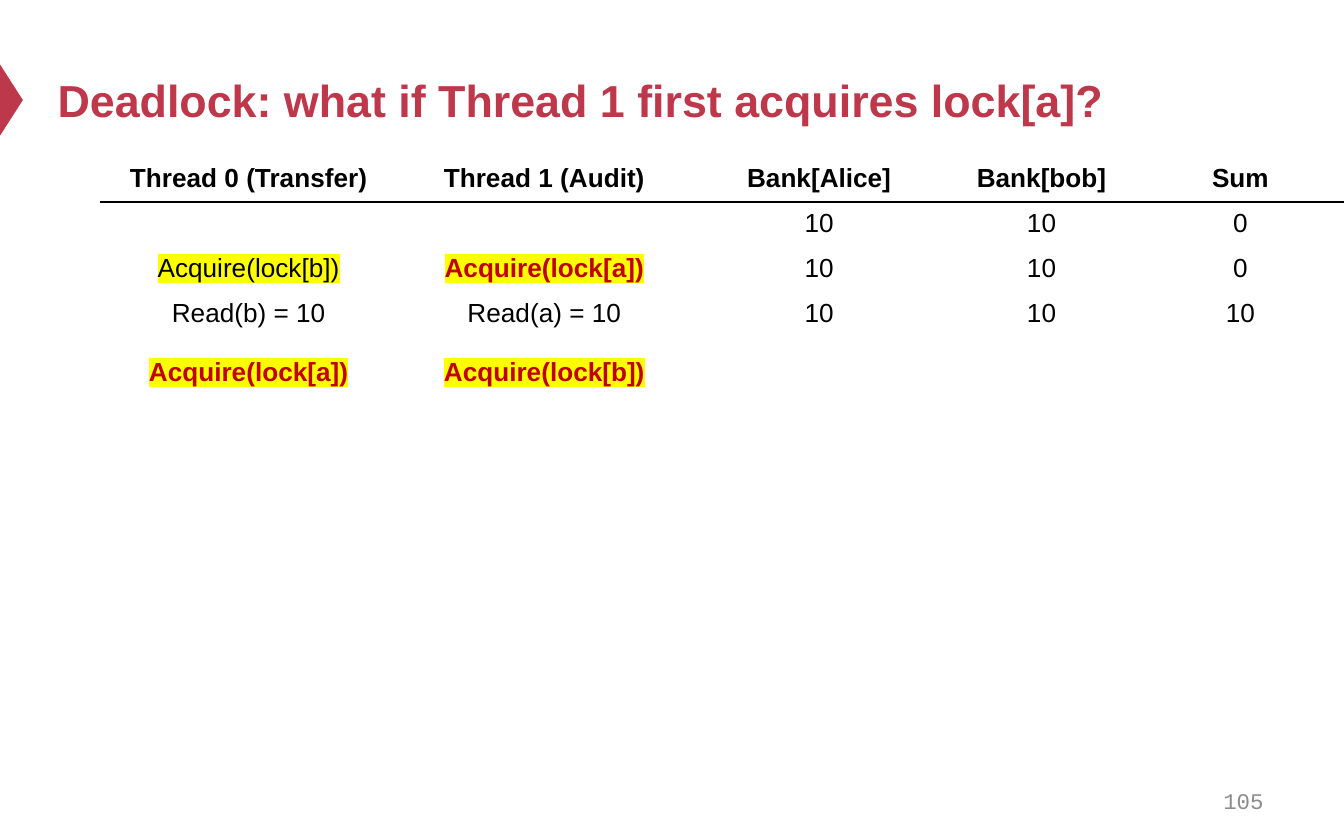
from lxml.etree import SubElement
from pptx import Presentation
from pptx.dml.color import RGBColor
from pptx.enum.shapes import MSO_SHAPE
from pptx.enum.text import MSO_ANCHOR, PP_ALIGN
from pptx.oxml.ns import qn
from pptx.util import Inches, Pt

CRIMSON = RGBColor(0xBE, 0x38, 0x4B)
RED = RGBColor(0xC0, 0x00, 0x00)
GRAY = RGBColor(0x8C, 0x8C, 0x8C)
BLACK = RGBColor(0x00, 0x00, 0x00)
WHITE = RGBColor(0xFF, 0xFF, 0xFF)
YELLOW = RGBColor(0xFF, 0xFF, 0x00)

HEADER = {"bold": True}
HELD = {"highlight": YELLOW}
CONTESTED = {"highlight": YELLOW, "color": RED, "bold": True}

COLUMN_WIDTHS = [2.2, 2.2, 1.89, 1.42, 1.54]
ROW_HEIGHTS = [0.32] * 3 + [0.77] + [0.39] * 9
HEADINGS = ["Thread 0 (Transfer)", "Thread 1 (Audit)", "Bank[Alice]", "Bank[bob]", "Sum"]
STEPS = [
    [[], [], [("10", {})], [("10", {})], [("0", {})]],
    [[("Acquire(lock[b])", HELD)], [("Acquire(lock[a])", CONTESTED)],
     [("10", {})], [("10", {})], [("0", {})]],
    [[("Read(b) = 10", {}), ("Acquire(lock[a])", CONTESTED)],
     [("Read(a) = 10", {}), ("Acquire(lock[b])", CONTESTED)],
     [("10", {})], [("10", {})], [("10", {})]],
]


def write_text(para, text, size=14, font="Arial", color=BLACK, bold=False,
               align=PP_ALIGN.CENTER, highlight=None):
    """Write one formatted span into a paragraph."""
    para.alignment = align
    span = para.add_run()
    span.text = text
    span.font.size = Pt(size)
    span.font.bold = bold
    span.font.color.rgb = color
    if highlight is not None:
        marker = SubElement(span.font._element, qn("a:highlight"))
        SubElement(marker, qn("a:srgbClr"), val=str(highlight))
    span.font.name = font


def add_text_box(page, left, top, width, height, text, **text_format):
    """Add a vertically centred, wrapping text box."""
    box = page.shapes.add_textbox(Inches(left), Inches(top), Inches(width), Inches(height))
    box.text_frame.word_wrap = True
    box.text_frame.vertical_anchor = MSO_ANCHOR.MIDDLE
    write_text(box.text_frame.paragraphs[0], text, **text_format)


def add_title(page, left, top, width, height, text):
    """Add the title with its pointer at the slide edge."""
    pointer = page.shapes.add_shape(MSO_SHAPE.ISOSCELES_TRIANGLE, Inches(-0.18), Inches(0.66),
                                    Inches(0.53), Inches(0.17))
    pointer.rotation = 90
    pointer.shadow.inherit = False
    pointer.fill.solid()
    pointer.fill.fore_color.rgb = CRIMSON
    pointer.line.fill.background()
    add_text_box(page, left, top, width, height, text, size=24, color=CRIMSON, bold=True,
                 align=PP_ALIGN.LEFT)


def set_borders(cell, **colors):
    """Draw one-point cell borders, white unless a side is named."""
    properties = cell._tc.get_or_add_tcPr()
    for side in "LRTB":
        line = SubElement(properties, qn(f"a:ln{side}"), w=str(Pt(1)))
        fill = SubElement(line, qn("a:solidFill"))
        SubElement(fill, qn("a:srgbClr"), val=str(colors.get(side, WHITE)))


def fill_cell(cell, entries):
    """Write the entries of a cell as spaced paragraphs."""
    frame = cell.text_frame
    if not entries:
        SubElement(frame.paragraphs[0]._p, qn("a:endParaRPr"), sz="1400")
    for index, (text, text_format) in enumerate(entries):
        para = frame.add_paragraph() if index else frame.paragraphs[0]
        if index:
            para.space_before = Pt(16)
        write_text(para, text, **text_format)


def add_schedule(page, left, top, width, height):
    """Add the table that interleaves the two threads."""
    rows = [[[(heading, HEADER)] for heading in HEADINGS]] + STEPS
    table = page.shapes.add_table(len(ROW_HEIGHTS), len(COLUMN_WIDTHS), Inches(left),
                                  Inches(top), Inches(width), Inches(height)).table
    table.first_row = False
    table.horz_banding = False
    for column, column_width in zip(table.columns, COLUMN_WIDTHS):
        column.width = Inches(column_width)
    for index, (row, row_height) in enumerate(zip(table.rows, ROW_HEIGHTS)):
        row.height = Inches(row_height)
        rule = {0: {"B": BLACK}, 1: {"T": BLACK}}.get(index, {})
        contents = rows[index] if index < len(rows) else [[]] * len(COLUMN_WIDTHS)
        for cell, entries in zip(row.cells, contents):
            set_borders(cell, **rule)
            cell.fill.background()
            fill_cell(cell, entries)


def main():
    """Build and save the deck."""
    deck = Presentation()
    deck.slide_width = Inches(10)
    deck.slide_height = Inches(6.25)
    page = deck.slides.add_slide(deck.slide_layouts[6])
    add_title(page, 0.33, 0.25, 9, 0.98, "Deadlock: what if Thread 1 first acquires lock[a]?")
    add_schedule(page, 0.75, 1.17, sum(COLUMN_WIDTHS), sum(ROW_HEIGHTS))
    add_text_box(page, 7.17, 5.79, 2.33, 0.33, "105", size=12, font="Courier New",
                 color=GRAY, align=PP_ALIGN.RIGHT)
    deck.save("out.pptx")


if __name__ == "__main__":
    main()
